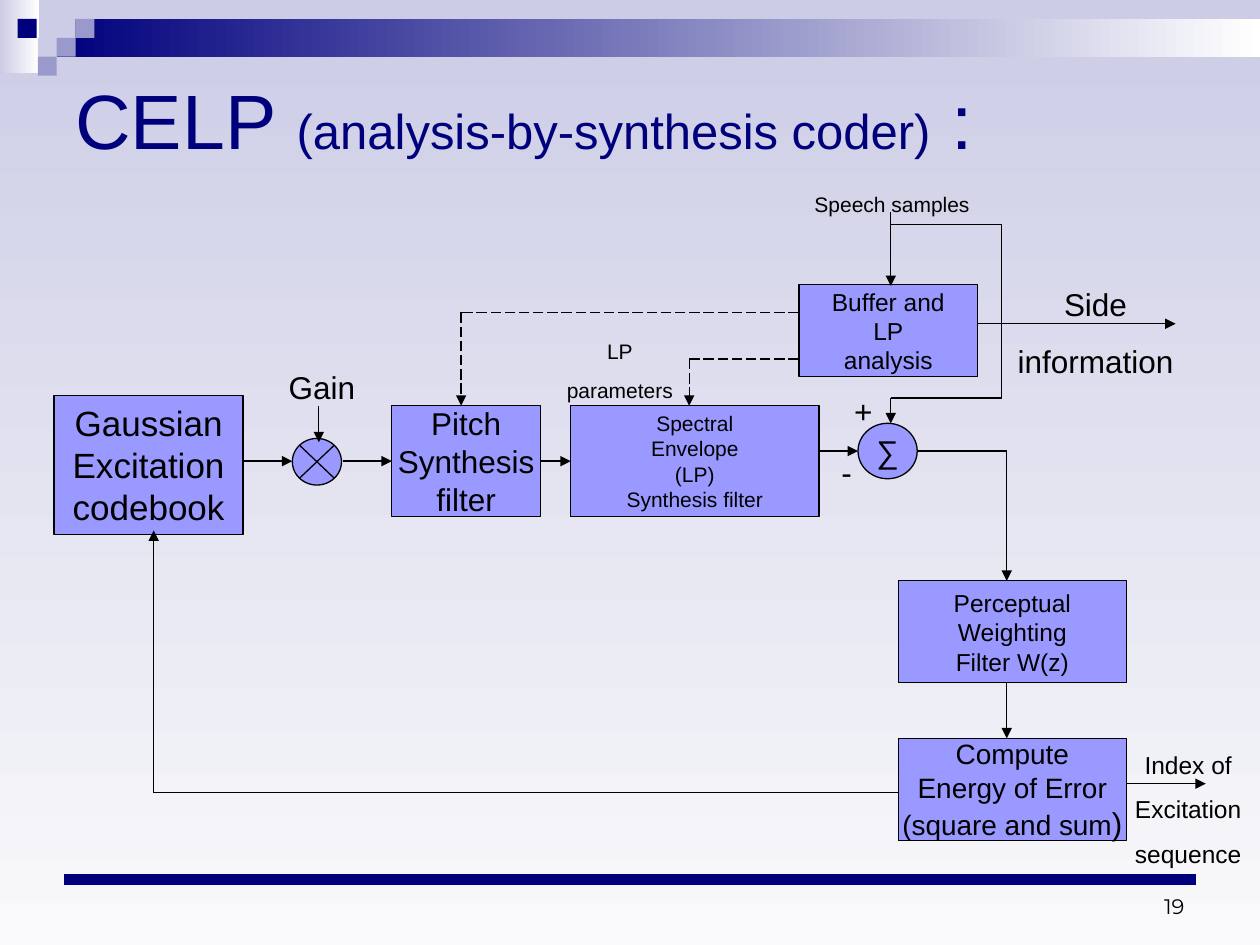
from lxml import etree
from pptx import Presentation
from pptx.dml.color import RGBColor
from pptx.enum.dml import MSO_LINE
from pptx.enum.shapes import MSO_CONNECTOR, MSO_SHAPE
from pptx.enum.text import MSO_ANCHOR, PP_ALIGN
from pptx.oxml.ns import qn
from pptx.util import Inches, Pt

RECT, OVAL = MSO_SHAPE.RECTANGLE, MSO_SHAPE.OVAL
JUNCTION = MSO_SHAPE.FLOWCHART_SUMMING_JUNCTION
STRAIGHT, DASH = MSO_CONNECTOR.STRAIGHT, MSO_LINE.LONG_DASH
LEFT, CENTER, RIGHT = PP_ALIGN.LEFT, PP_ALIGN.CENTER, PP_ALIGN.RIGHT
TOP, MIDDLE, BOTTOM = MSO_ANCHOR.TOP, MSO_ANCHOR.MIDDLE, MSO_ANCHOR.BOTTOM

COLORS = {"navy": "00007D", "lavender": "CCCCE6", "violet": "9999CC",
          "block": "9999FF", "ink": "000000", "white": "FFFFFF", "pale": "F9F9FB"}

BANDS = [((0, 0, 0.31, 0.58), "white", "lavender"),
         ((0.45, 0.15, 9.55, 0.3), "white", "navy")]
TILE = 0.15
TILES = [(0.45, 0.15, "lavender"), (0.6, 0, "lavender"), (0.6, 0.15, "violet"),
         (0.3, 0.3, "lavender"), (0.14, 0.15, "navy"), (0.45, 0.3, "violet"),
         (0.3, 0.45, "violet")]

TITLE = [[("CELP ", 44), ("(analysis-by-synthesis coder)", 28), (" :", 44)]]
SQUARE_AND_SUM = [("(square and sum", 16), (")", 18)]

BLOCKS = {
    "codebook": (RECT, (0.43, 3.14, 1.5, 1.1), 20, ["Gaussian", "Excitation", "codebook"]),
    "gain": (JUNCTION, (2.32, 3.48, 0.39, 0.37), 18, []),
    "pitch": (RECT, (3.11, 3.22, 1.18, 0.88), 18, ["Pitch", "Synthesis", "filter"]),
    "envelope": (RECT, (4.53, 3.22, 1.97, 0.88), 12,
                 ["Spectral", "Envelope", "(LP)", "Synthesis filter"]),
    "sum": (OVAL, (6.81, 3.36, 0.47, 0.44), 18, ["∑"]),
    "weighting": (RECT, (7.13, 4.61, 1.81, 0.81), 14,
                  ["Perceptual", "Weighting", "Filter W(z)"]),
    "energy": (RECT, (7.13, 5.86, 1.81, 0.81), 16,
               ["Compute", "Energy of Error", SQUARE_AND_SUM]),
    "buffer": (RECT, (6.34, 2.26, 1.42, 0.73), 14, ["Buffer and", "LP", "analysis"]),
}

LABELS = [
    ((7.91, 2.21, 1.57, 0.86), 18, 11.2, ["Side", "information"]),
    ((2.16, 2.87, 0.79, 0.4), 18, 11.2, ["Gain"]),
    ((4.13, 2.64, 1.58, 0.61), 12, 7.5, ["LP", "parameters"]),
    ((6.29, 1.47, 1.58, 0.3), 12, 7.5, ["Speech samples"]),
    ((8.74, 5.9, 1.38, 1.05), 14, 8.8, ["Index of", "Excitation", "sequence"]),
]
SIGNS = [((6.68, 3.06, 0.34, 0.4), "+"), ((6.58, 3.55, 0.28, 0.4), "-")]

# route points, dashed, arrow at the end, joined blocks as (block, site) or None
ROUTES = [
    ([(1.93, 3.66), (2.32, 3.66)], False, True, None, None),
    ([(2.53, 3.22), (2.53, 3.51)], False, True, None, None),
    ([(2.72, 3.66), (3.11, 3.66)], False, True, None, ("pitch", 1)),
    ([(4.29, 3.66), (4.53, 3.66)], False, True, ("pitch", 3), ("envelope", 1)),
    ([(6.49, 3.58), (6.81, 3.58)], False, True, None, None),
    ([(7.28, 3.58), (7.99, 3.58), (7.99, 4.61)], False, True, None, None),
    ([(7.99, 5.42), (7.99, 5.86)], False, True, None, None),
    ([(8.94, 6.22), (9.57, 6.22)], False, True, None, None),
    ([(7.13, 6.29), (1.22, 6.29), (1.22, 4.21)], False, True, None, None),
    ([(7.07, 1.68), (7.07, 2.27)], False, True, None, None),
    ([(7.07, 1.78), (7.95, 1.78), (7.95, 3.16), (7.07, 3.16), (7.07, 3.36)],
     False, True, None, None),
    ([(7.76, 2.57), (9.33, 2.57)], False, True, None, None),
    ([(6.34, 2.85), (5.47, 2.85), (5.47, 3.22)], True, True, None, None),
    ([(6.34, 2.48), (3.66, 2.48), (3.66, 3.22)], True, True, None, None),
]


def color(name):
    return RGBColor.from_string(COLORS[name])


def fill_gradient(fill, names, angle):
    fill.gradient()
    fill.gradient_angle = angle
    for stop, name, position in zip(fill.gradient_stops, names, (0, 1)):
        stop.color.rgb = color(name)
        stop.position = position


def add_block(slide, kind, box):
    block = slide.shapes.add_shape(kind, *map(Inches, box))
    block.shadow.inherit = False
    block.line.fill.background()
    return block


def write(owner, lines, size, align=CENTER, anchor=TOP, wrap=True, before=0,
          font="Arial", ink="ink"):
    frame = owner.text_frame
    frame_format = {"word_wrap": wrap, "vertical_anchor": anchor,
                    "margin_left": Inches(0.1), "margin_right": Inches(0.1),
                    "margin_top": Inches(0.05), "margin_bottom": Inches(0.05)}
    for key, value in frame_format.items():
        setattr(frame, key, value)
    for number, line in enumerate(lines):
        paragraph = frame.add_paragraph() if number else frame.paragraphs[0]
        paragraph.alignment = align
        paragraph.space_before = Pt(before)
        for words, points in [(line, size)] if isinstance(line, str) else line:
            run = paragraph.add_run()
            run.text = words
            run.font.color.rgb = color(ink)
            for key, value in {"size": Pt(points), "name": font}.items():
                setattr(run.font, key, value)


def add_label(slide, box, lines, size, **style):
    write(slide.shapes.add_textbox(*map(Inches, box)), lines, size, **style)


def add_line(slide, start, end, ink="ink", width=0.75, dashed=False, arrow=False):
    wire = slide.shapes.add_connector(STRAIGHT, *map(Inches, (*start, *end)))
    wire.line.color.rgb = color(ink)
    wire.line.width = Pt(width)
    if dashed:
        wire.line.dash_style = DASH
    if arrow:
        etree.SubElement(wire.line._get_or_add_ln(), qn("a:tailEnd"), type="triangle")
    etree.SubElement(wire._element.spPr, qn("a:effectLst"))
    return wire


def add_route(slide, blocks, points, dashed, arrow, source, target):
    last = len(points) - 2
    for number, (start, end) in enumerate(zip(points, points[1:])):
        wire = add_line(slide, start, end, dashed=dashed, arrow=arrow and number == last)
        if source and number == 0:
            wire.begin_connect(blocks[source[0]], source[1])
        if target and number == last:
            wire.end_connect(blocks[target[0]], target[1])


def main():
    deck = Presentation()
    deck.slide_width, deck.slide_height = Inches(10), Inches(7.5)
    slide = deck.slides.add_slide(deck.slide_layouts[6])
    fill_gradient(slide.background.fill, ("lavender", "pale"), 270)

    for box, first, second in BANDS:
        fill_gradient(add_block(slide, RECT, box).fill, (first, second), 180)
    for left, top, name in TILES:
        tile = add_block(slide, RECT, (left, top, TILE, TILE))
        tile.fill.solid()
        tile.fill.fore_color.rgb = color(name)
    add_line(slide, (0.51, 6.98), (9.49, 6.98), "navy", 6)
    add_label(slide, (0.5, 0.5, 9, 0.89), TITLE, 44, align=LEFT, anchor=MIDDLE, ink="navy")

    blocks = {}
    for name, (kind, box, size, lines) in BLOCKS.items():
        block = blocks[name] = add_block(slide, kind, box)
        block.fill.solid()
        block.fill.fore_color.rgb = color("block")
        block.line.color.rgb = color("ink")
        block.line.width = Pt(0.75)
        write(block, lines, size, anchor=MIDDLE, wrap=False)
    for route in ROUTES:
        add_route(slide, blocks, *route)

    for box, size, before, lines in LABELS:
        add_label(slide, box, lines, size, before=before)
    for box, sign in SIGNS:
        add_label(slide, box, [sign], 18, align=LEFT, wrap=False)
    add_label(slide, (7.17, 7.14, 2.33, 0.2), ["19"], 12, align=RIGHT, anchor=BOTTOM,
              font="Montserrat")
    deck.save("out.pptx")


if __name__ == "__main__":
    main()
